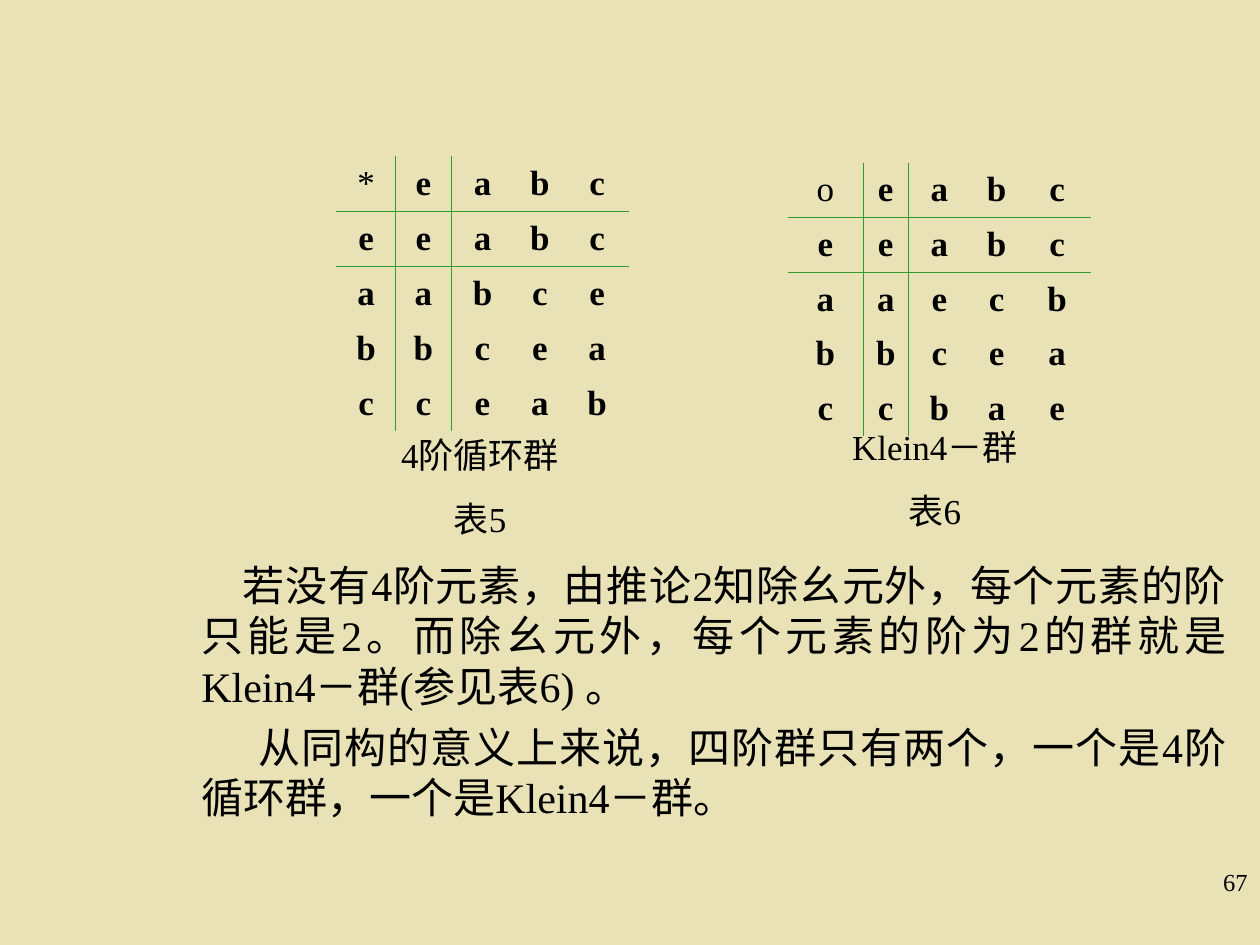
from lxml import etree
from pptx import Presentation
from pptx.dml.color import RGBColor
from pptx.enum.text import MSO_ANCHOR, PP_ALIGN
from pptx.oxml.ns import qn
from pptx.util import Inches, Pt

CENTER, JUSTIFY, RIGHT = PP_ALIGN.CENTER, PP_ALIGN.JUSTIFY, PP_ALIGN.RIGHT
MIDDLE = MSO_ANCHOR.MIDDLE
FONT_NAME = "Times New Roman"
BACKGROUND = RGBColor(0xE9, 0xE2, 0xB6)
INK = RGBColor(0, 0, 0)
RULE = RGBColor(0x33, 0x99, 0x33)
PLAIN_TABLE_STYLE = "{2D5ABB26-0587-4C30-8999-92F81FD0307C}"

presentation = Presentation()
presentation.slide_width = Inches(10)
presentation.slide_height = Inches(7.5)
column_unit = presentation.slide_width / 100
row_unit = presentation.slide_height / 75
slide = presentation.slides.add_slide(presentation.slide_layouts[6])
slide.background.fill.solid()
slide.background.fill.fore_color.rgb = BACKGROUND


def format_paragraph(paragraph, size, alignment, bold=False):
    paragraph.alignment = alignment
    for run in paragraph.runs:
        run.font.name = FONT_NAME
        run.font.size = Pt(size)
        run.font.bold = bold
        run.font.color.rgb = INK


def add_text(left, top, width, height, lines, size, alignment, space, margins=(0.1, 0.05)):
    box = slide.shapes.add_textbox(
        int(left * column_unit), int(top * row_unit),
        int(width * column_unit), int(height * row_unit))
    frame = box.text_frame
    frame.word_wrap = True
    frame.margin_left = frame.margin_right = Inches(margins[0])
    frame.margin_top = frame.margin_bottom = Inches(margins[1])
    frame.text = "\n".join(lines)
    for index, paragraph in enumerate(frame.paragraphs):
        format_paragraph(paragraph, size, alignment)
        paragraph.space_before = Pt(space if index else 0)
    return frame


add_text(79.2, 68.3, 20.8, 5, ["67"], 14, RIGHT, 0)

body = add_text(15, 43.9, 83.3, 27.8, [
    "若没有4阶元素，由推论2知除幺元外，每个元素的阶只能是2。而除幺元外，每个元素的阶为2的群就是Klein4－群(参见表6) 。",
    "从同构的意义上来说，四阶群只有两个，一个是4阶循环群，一个是Klein4－群。",
], 24, JUSTIFY, 6)
for paragraph, indent in zip(body.paragraphs, (0.33, 0.45)):
    paragraph._p.get_or_add_pPr().set("indent", str(Inches(indent)))

group_tables = [
    (26.7, 12.4, [4.7, 4.4, 5, 4.1, 5], [4.36] * 5,
     ["*eabc", "eeabc", "aabce", "bbcea", "cceab"]),
    (62.5, 12.9, [6, 3.6, 4.9, 4.2, 5.4], [4.2, 4.2, 3.8, 3.8, 3.7],
     ["oeabc", "eeabc", "aaecb", "bbcea", "ccbae"]),
]
for left, top, widths, heights, products in group_tables:
    graphic = slide.shapes.add_table(
        len(heights), len(widths), int(left * column_unit), int(top * row_unit),
        int(sum(widths) * column_unit), int(sum(heights) * row_unit))
    table = graphic.table
    table.first_row = table.horz_banding = False
    graphic.element.find(".//" + qn("a:tableStyleId")).text = PLAIN_TABLE_STYLE
    for column, width in zip(table.columns, widths):
        column.width = int(width * column_unit)
    for row, height in zip(table.rows, heights):
        row.height = int(height * row_unit)
    for row_index, symbols in enumerate(products):
        for column_index, symbol in enumerate(symbols):
            cell = table.cell(row_index, column_index)
            cell.text = symbol
            cell.vertical_anchor = MIDDLE
            is_operator = row_index == column_index == 0
            format_paragraph(cell.text_frame.paragraphs[0], 20, CENTER, not is_operator)
            borders = {"a:lnL": column_index == 1, "a:lnR": column_index == 0,
                       "a:lnT": row_index == 1, "a:lnB": row_index == 0}
            properties = cell._tc.get_or_add_tcPr()
            for tag, visible in borders.items():
                if visible:
                    line = etree.SubElement(properties, qn(tag), w=str(Pt(0.45)))
                    fill = etree.SubElement(line, qn("a:solidFill"))
                    etree.SubElement(fill, qn("a:srgbClr"), val=str(RULE))
            cell.fill.background()

captions = [
    (66.3, 33.8, 15.8, ["Klein4－群", "表6"]),
    (31, 34.4, 14.2, ["4阶循环群", "表5"]),
]
for left, top, width, lines in captions:
    add_text(left, top, width, 8.4, lines, 20, CENTER, 12.5, (0, 0))

presentation.save("out.pptx")
